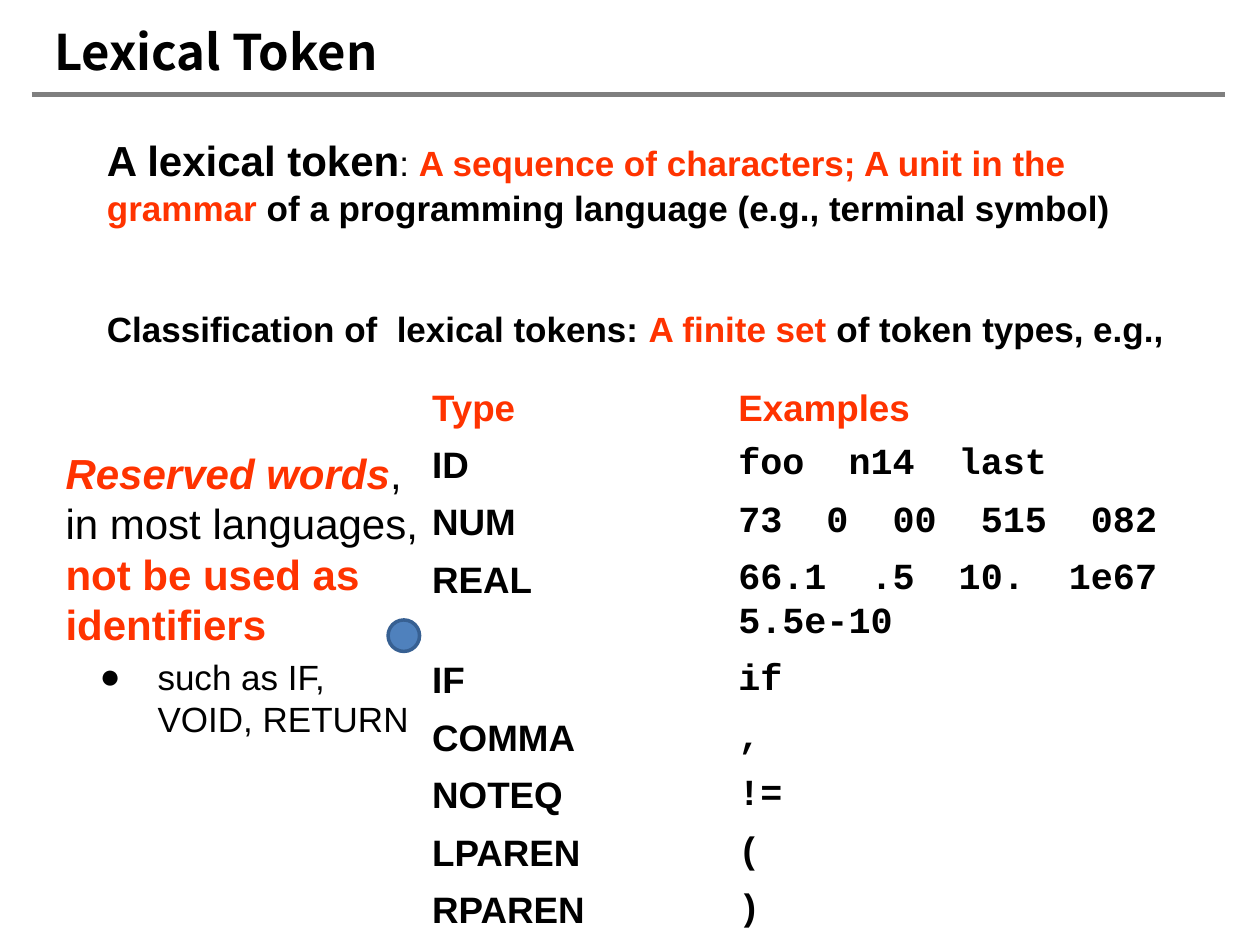
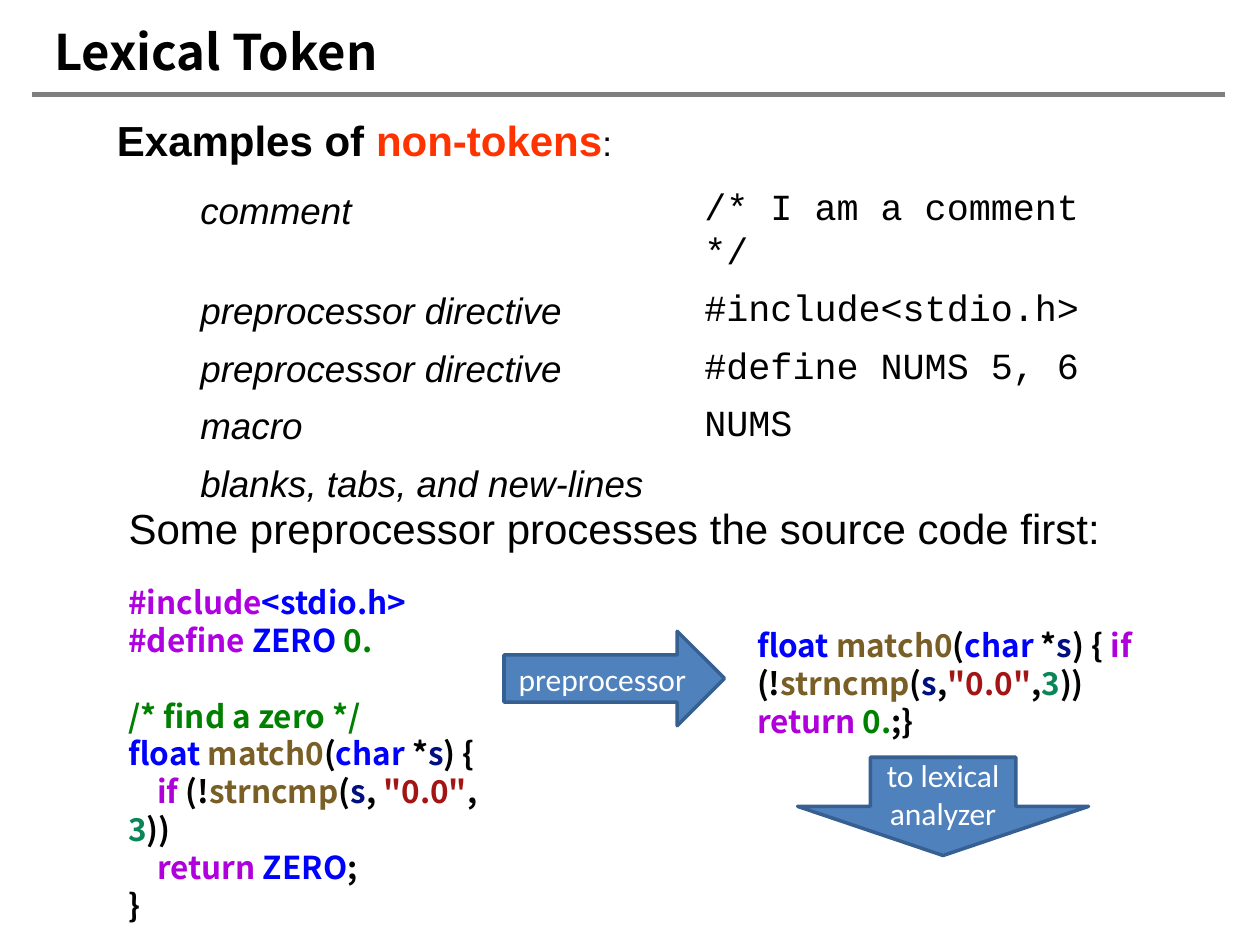
from dataclasses import dataclass

from lxml.etree import SubElement
from pptx import Presentation
from pptx.dml.color import RGBColor as RGB
from pptx.enum.shapes import MSO_CONNECTOR as LINE, MSO_SHAPE as SHAPE
from pptx.enum.text import MSO_ANCHOR as ANCHOR, MSO_AUTO_SIZE as AUTO, PP_ALIGN as ALIGN
from pptx.oxml.ns import qn
from pptx.util import Emu, Pt

PX = 9144  # EMU in one px, 100 px to the inch


@dataclass(frozen=True)
class Theme:
    body_font: str = "Arial"
    mono_font: str = "Courier New"
    code_font: str = "Noto Sans CJK SC"
    shape_font: str = "Calibri"
    title_size: int = 28
    lead_size: int = 24
    cell_size: int = 21
    text_size: int = 20
    code_size: int = 18
    black: str = "000000"
    white: str = "FFFFFF"
    accent: str = "FF3300"
    rule: str = "7F7F7F"
    fill: str = "4F81BD"
    outline: str = "376092"
    # syntax colours
    directive: str = "AF00E1"
    keyword: str = "AF00DB"
    type_name: str = "0000FF"
    function: str = "795E26"
    variable: str = "001080"
    comment: str = "008000"
    string: str = "A31515"
    number: str = "098658"


T = Theme()


def px(*values):
    return [Emu(v * PX) for v in values]


def run(text, **fmt):
    return text, fmt


def code(*pairs):
    """Turn alternating text and colour into runs."""
    return [run(text, color=color) for text, color in zip(pairs[::2], pairs[1::2])]


def write(p, runs, size=T.text_size, align=ALIGN.LEFT, spacing=None, before=0,
          left=0, indent=0, bullet=None, **base):
    """Fill a paragraph; spacing defaults to exact lines of 1.2 times the size."""
    p.alignment = align
    p.line_spacing = spacing or Pt(1.2 * size)
    p.space_before, p.space_after = Pt(before), Pt(0)
    pPr = p._p.get_or_add_pPr()
    pPr.set("marL", str(left * PX))
    pPr.set("indent", str(indent * PX))
    if bullet:
        SubElement(pPr, qn("a:buChar"), char=bullet)
    else:
        SubElement(pPr, qn("a:buNone"))
    for text, own in [run(runs)] if isinstance(runs, str) else runs:
        fmt = {"size": size, "font": T.body_font, "color": T.black,
               "bold": False, "italic": False, **base, **own}
        r = p.add_run()
        r.text = text
        f = r.font
        f.name, f.size = fmt["font"], Pt(fmt["size"])
        f.bold, f.italic = fmt["bold"], fmt["italic"]
        f.color.rgb = RGB.from_string(fmt["color"])


class Deck:
    def __init__(self):
        self.prs = Presentation()
        self.prs.slide_width, self.prs.slide_height = px(1000, 750)
        self.slide = None

    def new_slide(self, title, layout):
        self.slide = self.prs.slides.add_slide(self.prs.slide_layouts[layout])
        self.rule()
        tf = self.place(self.slide.shapes.title, (43, 17, 398, 47), inset=0)
        write(tf.paragraphs[0], title, size=T.title_size, font=T.code_font, bold=True)

    def rule(self):
        line = self.slide.shapes.add_connector(LINE.STRAIGHT, *px(25, 75, 972, 75))
        line.line.color.rgb = RGB.from_string(T.rule)
        line.line.width = Pt(3)
        SubElement(line._element.spPr, qn("a:effectLst"))

    def place(self, sp, box, anchor=ANCHOR.TOP, inset=None):
        sp.left, sp.top, sp.width, sp.height = px(*box)
        tf = sp.text_frame
        tf.word_wrap, tf.auto_size, tf.vertical_anchor = True, AUTO.NONE, anchor
        if inset is not None:
            tf.margin_left = tf.margin_top = tf.margin_right = tf.margin_bottom = inset
        return tf

    def text(self, box, runs, anchor=ANCHOR.TOP, **fmt):
        sp = self.slide.shapes.add_textbox(*px(*box))
        tf = self.place(sp, box, anchor)
        write(tf.paragraphs[0], runs, **fmt)
        return tf

    def body(self, box):
        return self.place(self.slide.placeholders[1], box)

    def shape(self, kind, box, label=""):
        sp = self.slide.shapes.add_shape(kind, *px(*box))
        sp.shadow.inherit = False
        sp.fill.solid()
        sp.fill.fore_color.rgb = RGB.from_string(T.fill)
        sp.line.color.rgb = RGB.from_string(T.outline)
        sp.line.width = Pt(2)
        if label:
            tf = sp.text_frame
            tf.word_wrap, tf.vertical_anchor = True, ANCHOR.MIDDLE
            write(tf.paragraphs[0], label, size=T.code_size, align=ALIGN.CENTER,
                  font=T.shape_font, color=T.white)

    def table(self, box, widths, rows, cell_format):
        """Draw an unfilled table; cell_format(row, column) gives the text format."""
        table = self.slide.shapes.add_table(len(rows), len(widths), *px(*box)).table
        table.first_row = table.horz_banding = False
        for column, width in zip(table.columns, px(*widths)):
            column.width = width
        for i, row in enumerate(rows):
            table.rows[i].height = Emu(box[3] * PX // len(rows))
            for j, text in enumerate(row):
                cell = table.cell(i, j)
                cell.fill.background()
                write(cell.text_frame.paragraphs[0], text, size=T.cell_size,
                      **cell_format(i, j))
        return table


def token_types(deck):
    deck.new_slide("Lexical Token", layout=1)
    deck.text((75, 100, 892, 130), [
        run("A lexical token", size=T.lead_size),
        run(": ", bold=False),
        run("A sequence of characters; A unit in the grammar", color=T.accent),
        run(" of a programming language (e.g., terminal symbol)"),
    ], bold=True, spacing=1.04)

    def cell_format(i, j):
        if i == 0:
            return {"bold": True, "color": T.accent}
        return {"bold": True, "font": T.mono_font if j else T.body_font}

    table = deck.table((333, 300, 641, 411), (243, 398), [
        ("Type", "Examples"),
        ("ID", "foo  n14  last"),
        ("NUM", "73  0  00  515  082"),
        ("REAL", "66.1  .5  10.  1e67 5.5e-10"),
        ("IF", "if"),
        ("COMMA", ","),
        ("NOTEQ", "!="),
        ("LPAREN", "("),
        ("RPAREN", ")"),
    ], cell_format)
    for cell in table.rows[0].cells:
        cell.vertical_anchor = ANCHOR.MIDDLE

    tf = deck.body((42, 350, 300, 246))
    write(tf.paragraphs[0], [
        run("Reserved words", color=T.accent, bold=True, italic=True),
        run(", in most languages, "),
        run("not be used as identifiers", color=T.accent, bold=True),
    ], size=T.lead_size)
    p = tf.add_paragraph()
    p.level = 1
    write(p, "such as IF, VOID, RETURN", before=4, left=73, indent=-46, bullet="●")

    deck.shape(SHAPE.OVAL, (308, 492, 25, 25))
    deck.text((75, 239, 892, 44), [
        run("Classification of  lexical tokens: "),
        run("A finite set", color=T.accent),
        run(" of token types, e.g.,"),
    ], bold=True)


def non_tokens(deck):
    deck.new_slide("Lexical Token", layout=5)
    deck.text((83, 86, 447, 50), [
        run("Examples of "),
        run("non-tokens", color=T.accent),
        run(":", size=T.text_size, bold=False),
    ], anchor=ANCHOR.MIDDLE, size=T.lead_size, bold=True)

    deck.table((149, 144, 727, 228), (400, 327), [
        ("comment", "/* I am a comment */"),
        ("preprocessor directive", "#include<stdio.h>"),
        ("preprocessor directive", "#define NUMS 5, 6"),
        ("macro", "NUMS"),
        ("blanks, tabs, and new-lines", ""),
    ], lambda i, j: {"font": T.mono_font} if j else {"italic": True})

    deck.text((76, 394, 823, 50), "Some preprocessor processes the source code first:",
              anchor=ANCHOR.MIDDLE, size=T.lead_size, align=ALIGN.CENTER)

    signature = code("float ", T.type_name, "match0", T.function, "(", T.black,
                     "char ", T.type_name, "*", T.black, "s", T.variable, ") {", T.black)

    def condition(comma):
        return code("if ", T.keyword, "(!", T.black, "strncmp", T.function, "(", T.black,
                    "s", T.variable, comma, T.black, '"0.0"', T.string,
                    comma, T.black, "3", T.number, "))", T.black)

    style = {"size": T.code_size, "font": T.code_font, "bold": True}
    tf = deck.text((92, 458, 334, 247),
                   code("#include", T.directive, "<stdio.h>", T.type_name), **style)
    for runs, layout in [
        (code("#define", T.directive, " ZERO ", T.type_name, "0.", T.comment), {}),
        (code("/* find a zero */", T.comment), {"before": 1.2 * T.code_size}),
        (signature, {}),
        (condition(", "), {"indent": 23}),
        (code("return ", T.keyword, "ZERO", T.type_name, ";", T.black), {"indent": 23}),
        (code("}", T.black), {}),
    ]:
        write(tf.add_paragraph(), runs, **style, **layout)

    deck.shape(SHAPE.RIGHT_ARROW, (400, 501, 175, 75), "preprocessor")
    deck.text((591, 492, 322, 98), [
        *signature, run(" "), *condition(","),
        *code(" return ", T.keyword, "0.", T.comment, ";}", T.black),
    ], **style)
    deck.shape(SHAPE.DOWN_ARROW, (633, 601, 231, 78), "to lexical analyzer")


def main():
    deck = Deck()
    token_types(deck)
    non_tokens(deck)
    deck.prs.save("out.pptx")


if __name__ == "__main__":
    main()
